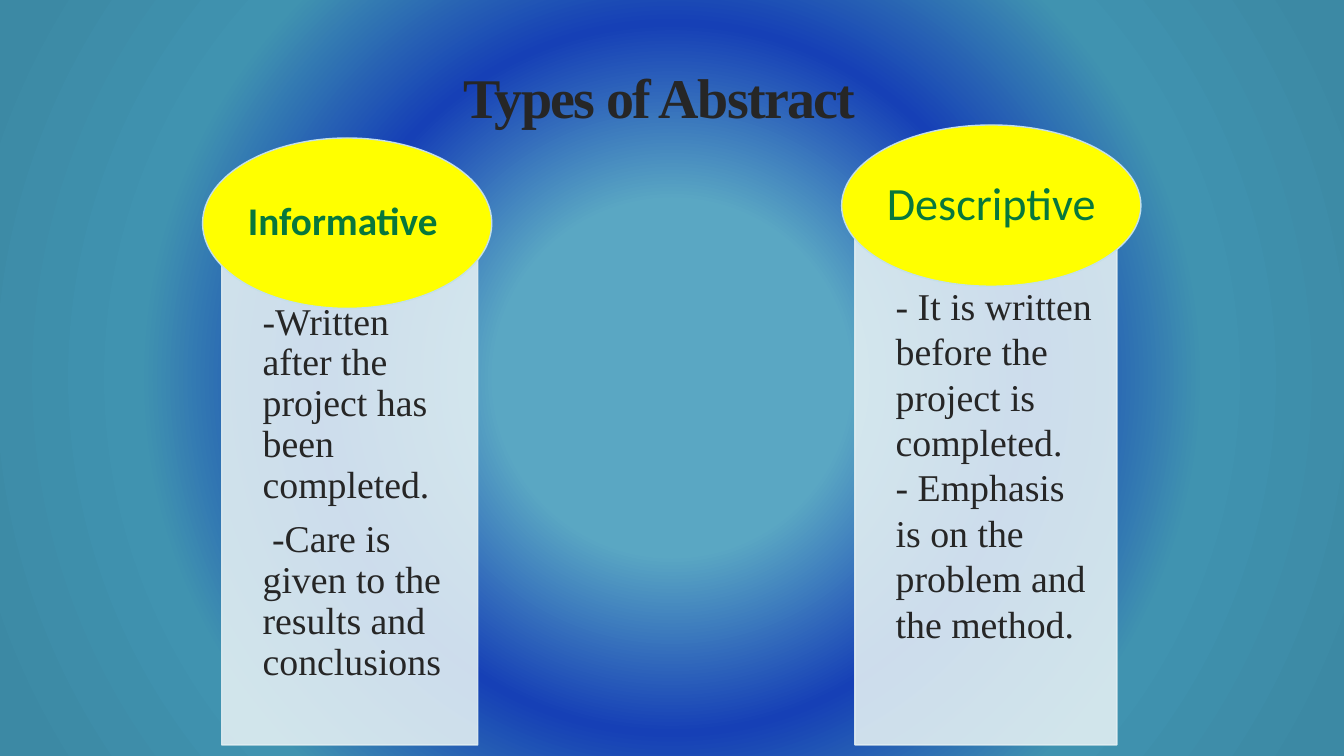
from dataclasses import dataclass

from lxml import etree
from pptx import Presentation
from pptx.dml.color import RGBColor
from pptx.enum import shapes, text
from pptx.oxml import ns
from pptx.util import Pt

SERIF = "Times New Roman"
INK = "262626"
STOPS = [(0, "5AA7C3"), (23, "5AA7C3"), (46, "1640B6"),
         (69, "4093B0"), (97, "3C89A4"), (100, "3C89A4")]
ARC = 0.1464
INDENT = 29.2


@dataclass
class Box:
    x: float
    y: float
    w: float
    h: float


@dataclass
class Panel:
    name: str
    size: float
    bold: bool
    oval: Box
    card: Box
    lines: list[str]
    base: float
    para: dict


TIGHT = {"line_spacing": 0.9, "space_after": Pt(9.45)}
PANELS = [
    Panel("Informative ", 28, True, Box(144.7, 98.6, 206.6, 121.7),
          Box(158.4, 172.1, 182.9, 360),
          ["-Written after the project has been completed.",
           " -Care is given to the results and conclusions"], 15.1, TIGHT),
    Panel("Descriptive ", 33, False, Box(601.2, 89.3, 213.8, 115.2),
          Box(610.6, 157.7, 187.2, 374.4),
          ["- It is written before the project is completed.",
           "- Emphasis is on the problem and the method."], 42, {}),
]


def color(code: str) -> RGBColor:
    return RGBColor.from_string(code)


def apply(item, values: dict) -> None:
    for key, value in values.items():
        setattr(item, key, value)


def spot(box: Box) -> tuple:
    return Pt(box.x), Pt(box.y), Pt(box.w), Pt(box.h)


def paint(slide) -> None:
    slide.background.fill.gradient()
    grad = slide.element.find(".//" + ns.qn("a:gradFill"))
    for child in list(grad):
        grad.remove(child)
    stops = etree.SubElement(grad, ns.qn("a:gsLst"))
    for place, code in STOPS:
        stop = etree.SubElement(stops, ns.qn("a:gs"), pos=str(place * 1000))
        etree.SubElement(stop, ns.qn("a:srgbClr"), val=code)
    route = etree.SubElement(grad, ns.qn("a:path"))
    route.set("path", "circle")
    sides = dict.fromkeys("ltrb", "50000")
    etree.SubElement(route, ns.qn("a:fillToRect"), sides)


def draw(slide, kind, box: Box, fill: str, edge: str, alpha: int = 100) -> None:
    shape = slide.shapes.add_shape(kind, *spot(box))
    shape.shadow.inherit = False
    shape.fill.solid()
    shape.fill.fore_color.rgb = color(fill)
    shape.line.color.rgb = color(edge)
    shape.line.width = Pt(1)
    if alpha < 100:
        for tint in shape.element.spPr.iter(ns.qn("a:srgbClr")):
            etree.SubElement(tint, ns.qn("a:alpha"), val=str(alpha * 1000))


def write(slide, box: Box, lines: list[str], pads: tuple, para: dict,
          font: dict, ink: str, space: int = 0) -> None:
    frame = slide.shapes.add_textbox(*spot(box)).text_frame
    sides = ("margin_left", "margin_top", "margin_right", "margin_bottom")
    apply(frame, {"word_wrap": True,
                  "vertical_anchor": text.MSO_ANCHOR.MIDDLE,
                  **dict(zip(sides, map(Pt, pads)))})
    for i, line in enumerate(lines):
        part = frame.add_paragraph() if i else frame.paragraphs[0]
        apply(part, para)
        run = part.add_run()
        run.text = line
        apply(run.font, font)
        run.font.color.rgb = color(ink)
        if space:
            run.font._element.set("spc", str(space))


def build(slide, panel: Panel) -> None:
    card, oval = panel.card, panel.oval
    draw(slide, shapes.MSO_SHAPE.RECTANGLE, card, "E1EEF2", "E1EEF2", 90)
    body = Box(card.x + INDENT, card.y, card.w - INDENT, card.h)
    write(slide, body, panel.lines, (0, 15.1, 15.1, panel.base), panel.para,
          {"name": SERIF, "size": Pt(27)}, INK)
    draw(slide, shapes.MSO_SHAPE.OVAL, oval, "FFFF00", "C3DFE9")
    dx, dy = oval.w * ARC, oval.h * ARC
    label = Box(oval.x + dx, oval.y + dy, oval.w - 2 * dx, oval.h - 2 * dy)
    write(slide, label, [panel.name], (0, 0, 0, 0),
          {"alignment": text.PP_ALIGN.CENTER, "line_spacing": 0.9,
           "space_after": Pt(panel.size * 0.35)},
          {"name": "Calibri", "size": Pt(panel.size), "bold": panel.bold},
          "07773C")


def main() -> None:
    deck = Presentation()
    apply(deck, {"slide_width": Pt(960), "slide_height": Pt(540)})
    slide = deck.slides.add_slide(deck.slide_layouts[6])
    paint(slide)
    write(slide, Box(324, 34.6, 430.6, 76.3), ["Types of Abstract"],
          (7.2, 3.6, 7.2, 3.6), {"line_spacing": 0.85},
          {"name": SERIF, "size": Pt(40), "bold": True}, INK, -120)
    for panel in PANELS:
        build(slide, panel)
    deck.save("out.pptx")


if __name__ == "__main__":
    main()
